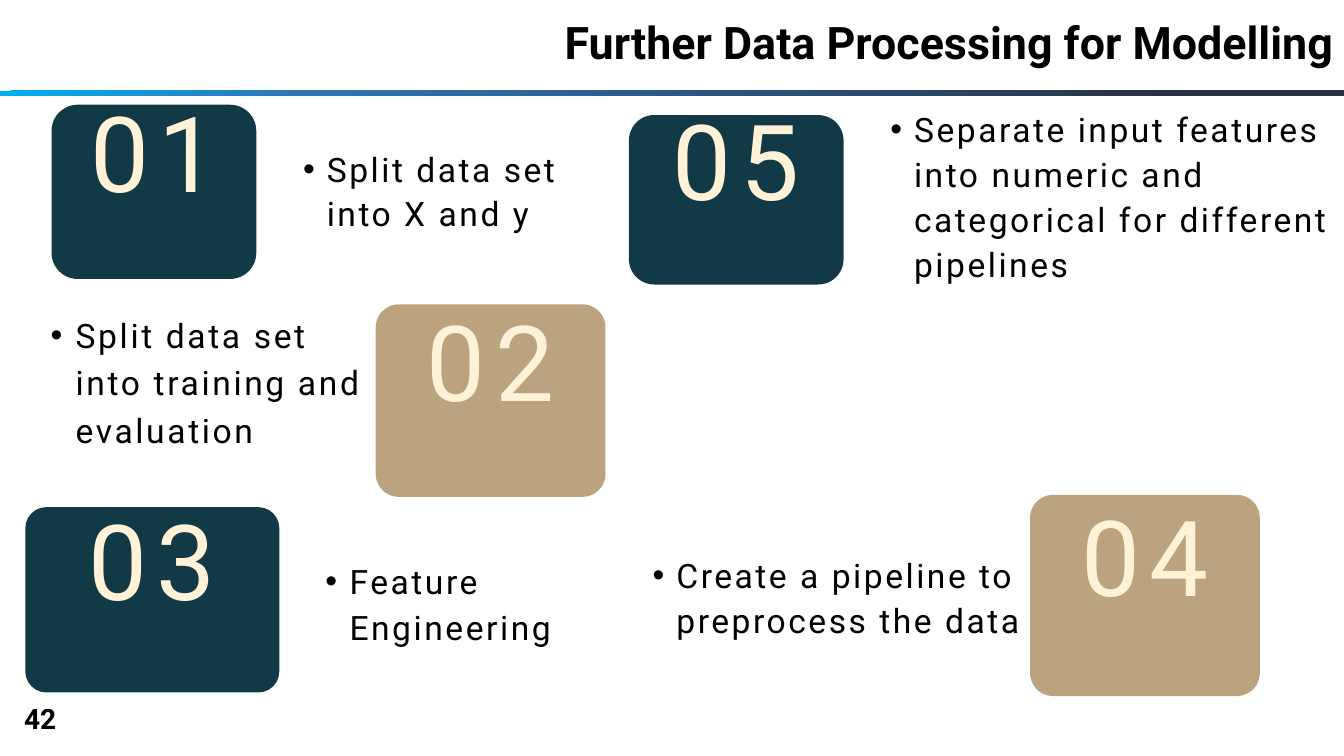
from pptx import Presentation
from pptx import util as u
from pptx.dml.color import RGBColor
from pptx.enum import shapes, text
from pptx.oxml import parse_xml
from pptx.oxml.ns import nsdecls

NAVY, SAND, CREAM, BLACK = "113946", "BCA37F", "FFF2D8", "000000"
NUMBER_RISE = 3.12

STEPS = [
    ("01", NAVY, (1.3, 2.64, 5.16, 4.39), 0.66,
     "Split data set into X and y", (7.04, 3.63, 7.19, 2.21), 32),
    ("02", SAND, (9.47, 7.67, 5.79, 4.85), 0.58,
     "Split data set into training and evaluation", (0.64, 7.75, 8.99, 3.58), 33.9),
    ("03", NAVY, (0.64, 12.78, 6.4, 4.67), 0.53,
     "Feature Engineering", (7.59, 14, 6.88, 2.26), 32.6),
    ("04", SAND, (25.96, 12.47, 5.79, 5.07), 0.58,
     "Create a pipeline to preprocess the data", (15.85, 13.87, 10.41, 2.21), 32),
    ("05", NAVY, (15.85, 2.9, 5.41, 4.27), 0.64,
     "Separate input features into numeric and categorical for different pipelines",
     (21.84, 2.64, 11.81, 4.5), 32),
]


def color(value):
    return RGBColor.from_string(value)


def place(box):
    return [u.Cm(v) for v in box]


def add_text(s, box, words, size, fill=BLACK, bold=False, align=text.PP_ALIGN.LEFT,
             anchor=text.MSO_ANCHOR.MIDDLE, inset=None, spacing=None, tracking=0):
    tf = s.shapes.add_textbox(*place(box)).text_frame
    tf.word_wrap = True
    tf.vertical_anchor = anchor
    if inset is not None:
        tf.margin_left = tf.margin_top = tf.margin_right = tf.margin_bottom = u.Cm(inset)
    p = tf.paragraphs[0]
    r = p.add_run()
    r.text = words
    if tracking:
        r._r.get_or_add_rPr().set("spc", str(tracking))
    p.alignment = align
    if spacing:
        p.line_spacing = spacing
    p.font.name = "Roboto"
    p.font.size = u.Pt(size)
    p.font.bold = bold
    p.font.color.rgb = color(fill)
    return p


def add_header(s, box):
    x, y, w, h = box
    rule = s.shapes.add_shape(shapes.MSO_SHAPE.RECTANGLE, *place((x, y + h, w, 0.13)))
    rule.shadow.inherit = False
    rule.line.fill.background()
    rule.fill.background()
    sp_pr = rule._element.spPr
    stops = "".join(
        f'<a:gs pos="{pos * 1000}"><a:srgbClr val="{value}"/></a:gs>'
        for pos, value in [(11, "293040"), (77, "2E75B6"), (100, "00B0F0")])
    gradient = parse_xml(
        f'<a:gradFill {nsdecls("a")}><a:gsLst>{stops}</a:gsLst><a:path path="circle">'
        '<a:fillToRect l="100000" t="100000"/></a:path></a:gradFill>')
    sp_pr.replace(sp_pr.find("{*}noFill"), gradient)
    add_text(s, (x + 5.44, y, w - 5.44, h), "Further Data Processing for Modelling",
             32, bold=True, align=text.PP_ALIGN.RIGHT, spacing=0.9)


def add_card(s, box, number, fill, radius):
    x, y, w, h = box
    card = s.shapes.add_shape(shapes.MSO_SHAPE.ROUNDED_RECTANGLE, *place(box))
    card.adjustments[0] = radius / min(w, h)
    card.shadow.inherit = False
    card.fill.solid()
    card.fill.fore_color.rgb = color(fill)
    card.line.fill.background()
    add_text(s, (x, y - NUMBER_RISE, w, h + NUMBER_RISE), number, 75, CREAM,
             align=text.PP_ALIGN.CENTER, inset=0.15, spacing=u.Pt(120), tracking=680)


def add_note(s, box, words, leading):
    p = add_text(s, box, words, 24, anchor=text.MSO_ANCHOR.TOP, inset=0,
                 spacing=u.Pt(leading), tracking=round(leading * 5.63))
    p.level = 1
    indent = u.Cm(leading * 0.0374)
    p_pr = p._p.get_or_add_pPr()
    p_pr.set("marL", str(indent))
    p_pr.set("indent", str(-indent // 2))
    bullet = [parse_xml(f'<a:buFont {nsdecls("a")} typeface="Arial"/>'),
              parse_xml(f'<a:buChar {nsdecls("a")} char="•"/>')]
    for part in bullet:
        p_pr.find("{*}defRPr").addprevious(part)


def main():
    prs = Presentation()
    prs.slide_width, prs.slide_height = u.Cm(33.87), u.Cm(19.05)
    s = prs.slides.add_slide(prs.slide_layouts[6])
    add_header(s, (0, 0, 33.87, 2.29))
    for number, fill, card_box, radius, words, note_box, leading in STEPS:
        add_card(s, card_box, number, fill, radius)
        add_note(s, note_box, words, leading)
    add_text(s, (0.36, 17.6, 2.08, 1.02), "42", 20, bold=True)
    prs.save("out.pptx")


if __name__ == "__main__":
    main()
